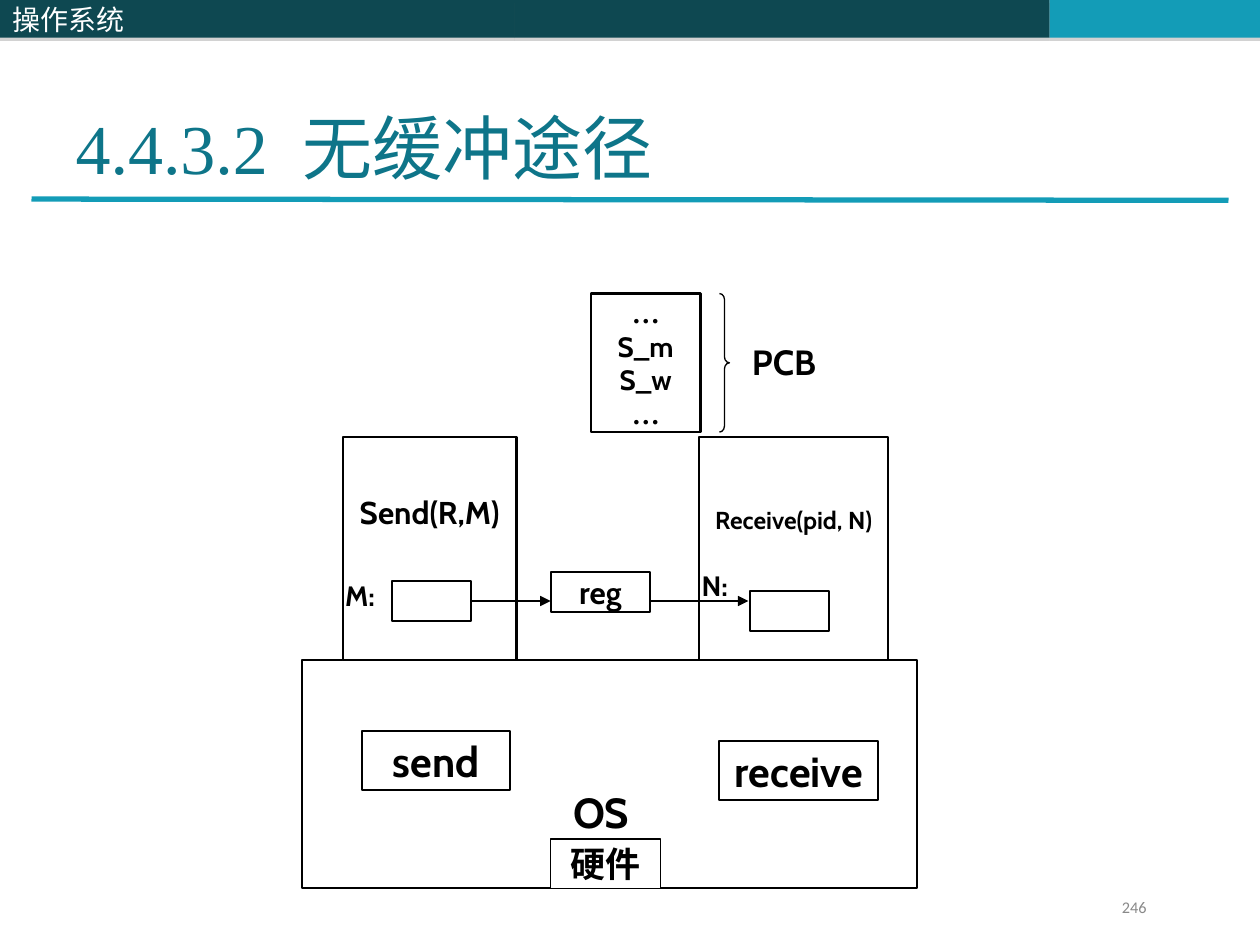
from lxml import etree
from pptx import Presentation
from pptx.dml.color import RGBColor
from pptx.enum.shapes import MSO_CONNECTOR, MSO_SHAPE
from pptx.enum.text import MSO_ANCHOR, MSO_AUTO_SIZE, PP_ALIGN
from pptx.oxml import parse_xml
from pptx.oxml.ns import nsdecls, qn
from pptx.util import Inches, Pt

RECT, BRACE = MSO_SHAPE.RECTANGLE, MSO_SHAPE.RIGHT_BRACE
STRAIGHT = MSO_CONNECTOR.STRAIGHT
LEFT, CENTER, RIGHT = PP_ALIGN.LEFT, PP_ALIGN.CENTER, PP_ALIGN.RIGHT
TOP, MIDDLE, BOTTOM = MSO_ANCHOR.TOP, MSO_ANCHOR.MIDDLE, MSO_ANCHOR.BOTTOM
NO_AUTOFIT = MSO_AUTO_SIZE.NONE

BAR_SHADOW = (
    f'<a:effectLst {nsdecls("a")}><a:outerShdw dist="22860" dir="5400000">'
    '<a:srgbClr val="808080"><a:alpha val="35000"/></a:srgbClr>'
    '</a:outerShdw></a:effectLst>')


def rgb(value):
    return RGBColor.from_string(value)


class Diagram:
    """Holds the style and the slide being drawn."""
    BLACK, WHITE, GREY = "000000", "FFFFFF", "898989"
    DARK, BRIGHT, HEADING = "0E4851", "139CB7", "0E7589"
    BODY, SERIF, HAN, NUMBER = "Cabin", "Times New Roman", "Noto Sans CJK SC", "Calibri"

    def __init__(self, slide):
        self.slide = slide

    def style(self, paragraph, size, font, color, bold, align):
        paragraph.alignment = align
        paragraph.font.size = Pt(size)
        paragraph.font.name = font
        paragraph.font.color.rgb = rgb(color)
        paragraph.font.bold = bold

    def set_text(self, frame, text, size, font=BODY, color=BLACK, bold=True,
                 align=LEFT, anchor=TOP):
        frame.text = text
        frame.vertical_anchor = anchor
        frame.auto_size = NO_AUTOFIT
        for paragraph in frame.paragraphs:
            self.style(paragraph, size, font, color, bold, align)

    def title(self, text, left, top, width, height):
        title = self.slide.shapes.title
        title.left, title.top = Inches(left), Inches(top)
        title.width, title.height = Inches(width), Inches(height)
        self.set_text(title.text_frame, text, 40, self.SERIF, self.HEADING,
                      bold=False, anchor=BOTTOM)

    def bar(self, left, width, color):
        bar = self.slide.shapes.add_shape(
            RECT, Inches(left), 0, Inches(width), Inches(0.3))
        bar.fill.solid()
        bar.fill.fore_color.rgb = rgb(color)
        bar.line.fill.background()
        bar._element.spPr.append(parse_xml(BAR_SHADOW))
        return bar

    def box(self, left, top, width, height, text="", size=18, line=1.25, lift=0):
        """Outlined box; lift is the extra bottom inset that raises its text."""
        box = self.slide.shapes.add_shape(
            RECT, Inches(left), Inches(top), Inches(width), Inches(height))
        box.shadow.inherit = False
        box.fill.solid()
        box.fill.fore_color.rgb = rgb(self.WHITE)
        box.line.color.rgb = rgb(self.BLACK)
        box.line.width = Pt(line)
        if text:
            frame = box.text_frame
            self.set_text(frame, text, size, align=CENTER, anchor=MIDDLE)
            frame.word_wrap = False
            frame.margin_bottom = Inches(0.05 + lift)
        return box

    def label(self, left, top, width, height, text, size, **style):
        label = self.slide.shapes.add_textbox(
            Inches(left), Inches(top), Inches(width), Inches(height))
        label.text_frame.word_wrap = True
        self.set_text(label.text_frame, text, size, **style)
        return label

    def brace(self, left, top, width, height):
        brace = self.slide.shapes.add_shape(
            BRACE, Inches(left), Inches(top), Inches(width), Inches(height))
        brace.adjustments[0] = 0.6
        brace.shadow.inherit = False
        brace.fill.background()
        brace.line.color.rgb = rgb(self.BLACK)
        brace.line.width = Pt(0.75)

    def line(self, x1, y1, x2, y2, color=BLACK, weight=0.75, arrow=True):
        line = self.slide.shapes.add_connector(
            STRAIGHT, Inches(x1), Inches(y1), Inches(x2), Inches(y2))
        line.line.color.rgb = rgb(color)
        line.line.width = Pt(weight)
        properties = line._element.spPr
        if arrow:
            etree.SubElement(properties.get_or_add_ln(), qn("a:tailEnd"), type="triangle")
        etree.SubElement(properties, qn("a:effectLst"))


def main():
    prs = Presentation()
    prs.slide_width, prs.slide_height = Inches(10), Inches(7.5)
    d = Diagram(prs.slides.add_slide(prs.slide_layouts[5]))

    # Header
    d.bar(4.08, 4.25, d.DARK)
    d.bar(8.33, 1.67, d.BRIGHT)
    d.line(0.25, 1.58, 9.75, 1.59, d.BRIGHT, 3, arrow=False)
    course = d.bar(0, 4.08, d.DARK)
    d.set_text(course.text_frame, "操作系统", 16, d.HAN, d.WHITE, bold=False, anchor=MIDDLE)
    d.title("4.4.3.2  无缓冲途径", 0.5, 0.3, 9, 1.25)

    # Operating system and the two processes above it
    d.box(2.4, 5.24, 4.88, 1.81)
    d.box(2.72, 3.47, 1.38, 1.77, "Send(R,M)", 18, lift=0.58)
    d.box(5.55, 3.47, 1.5, 1.77, "Receive(pid, N)", 14, lift=0.46)

    # Message path: M -> reg -> N
    d.box(3.11, 4.61, 0.63, 0.32)
    d.label(2.64, 4.54, 0.47, 0.37, "M:", 16)
    d.box(5.95, 4.69, 0.63, 0.32)
    d.label(5.47, 4.46, 0.47, 0.37, "N:", 16)
    d.box(4.37, 4.54, 0.79, 0.32, "reg", 18)
    for start, end in ((3.74, 4.37), (5.16, 5.94)):
        d.line(start, 4.77, end, 4.77)

    # System primitives
    d.box(2.87, 5.8, 1.18, 0.47, "send", 24)
    d.box(5.71, 5.88, 1.26, 0.47, "receive", 24)

    # Process control block
    pcb = d.box(4.69, 2.33, 0.87, 1.1, "…\nS_m\nS_w\n…", 16)
    for ellipsis in pcb.text_frame.paragraphs[::3]:
        ellipsis.font.name = d.SERIF
    d.brace(5.71, 2.33, 0.08, 1.1)
    d.label(5.87, 2.65, 0.87, 0.44, "PCB", 20)

    # Hardware
    d.box(4.37, 6.66, 0.87, 0.39, "硬件", 20, line=0.75)
    d.label(4.45, 6.19, 0.87, 0.5, "OS", 24)

    page = d.label(7.5, 7.1, 2.33, 0.27, "246", 9.3, font=d.NUMBER, color=d.GREY,
                   bold=False, align=RIGHT)
    page.text_frame.margin_right = Inches(0.73)
    page.text_frame.paragraphs[0].line_spacing = 0.8

    prs.save("out.pptx")


if __name__ == "__main__":
    main()
